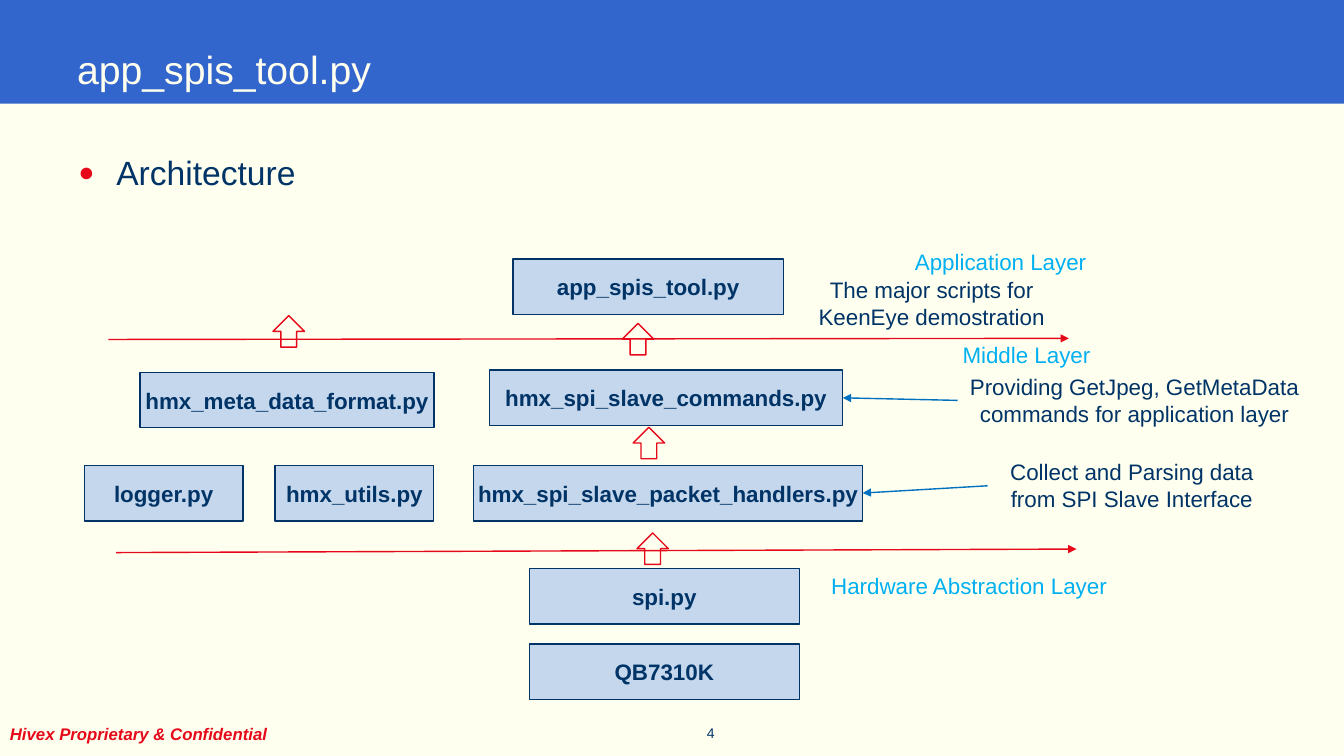
from lxml import etree
from pptx import Presentation
from pptx.dml.color import RGBColor
from pptx.enum import shapes, text
from pptx.oxml import ns
from pptx.util import Pt

NAVY = RGBColor(0x00, 0x33, 0x66)
BANNER_BLUE = RGBColor(0x33, 0x66, 0xCC)
BOX_BLUE = RGBColor(0xC4, 0xD7, 0xEC)
LAYER_BLUE = RGBColor(0x00, 0xB0, 0xF0)
POINTER_BLUE = RGBColor(0x00, 0x70, 0xC0)
RED = RGBColor(0xE5, 0x09, 0x19)
IVORY = RGBColor(0xFF, 0xFF, 0xF0)

BOX_HEIGHT = 39.6
ARROW_SIZE = 22.5
CENTER = text.PP_ALIGN.CENTER
MIDDLE = text.MSO_ANCHOR.MIDDLE


class ArchitectureSlide:
    font_name = "Arial"

    def __init__(self, slide):
        self.slide = slide
        slide.background.fill.solid()
        slide.background.fill.fore_color.rgb = IVORY

    def set_text(self, shape, wording, size, color, align=None, anchor=None,
                 bold=False, italic=False, wrap=True):
        frame = shape.text_frame
        frame.text = wording
        frame.word_wrap = wrap
        frame.vertical_anchor = anchor or text.MSO_ANCHOR.TOP
        paragraph = frame.paragraphs[0]
        paragraph.alignment = align or text.PP_ALIGN.LEFT
        font = paragraph.runs[0].font
        font.name, font.size = self.font_name, Pt(size)
        font.bold, font.italic = bold, italic
        font.color.rgb = color
        return paragraph

    def label(self, wording, left, top, width, height, size=16, color=NAVY, **style):
        box = self.slide.shapes.add_textbox(Pt(left), Pt(top), Pt(width), Pt(height))
        return self.set_text(box, wording, size, color, **style)

    def bullet(self, wording, left, top, width, height):
        paragraph = self.label(wording, left, top, width, height, size=24)
        properties = paragraph._p.get_or_add_pPr()
        properties.set("marL", str(Pt(27)))
        properties.set("indent", str(Pt(-27)))
        color = etree.SubElement(properties, ns.qn("a:buClr"))
        etree.SubElement(color, ns.qn("a:srgbClr"), val=str(RED))
        etree.SubElement(properties, ns.qn("a:buSzPct"), val="80000")
        etree.SubElement(properties, ns.qn("a:buFont"), typeface=self.font_name)
        etree.SubElement(properties, ns.qn("a:buChar"), char="●")

    def shape(self, kind, left, top, width, height, fill=None, line=None):
        shape = self.slide.shapes.add_shape(kind, Pt(left), Pt(top), Pt(width), Pt(height))
        shape.shadow.inherit = False
        if fill is None:
            shape.fill.background()
        else:
            shape.fill.solid()
            shape.fill.fore_color.rgb = fill
        if line is None:
            shape.line.fill.background()
        else:
            shape.line.color.rgb = line
            shape.line.width = Pt(1)
        return shape

    def module(self, name, left, top, width):
        box = self.shape(shapes.MSO_SHAPE.RECTANGLE, left, top, width, BOX_HEIGHT,
                         BOX_BLUE, NAVY)
        self.set_text(box, name, 16, NAVY, CENTER, MIDDLE, bold=True, wrap=False)

    def up_arrow(self, left, top):
        self.shape(shapes.MSO_SHAPE.UP_ARROW, left, top, ARROW_SIZE, ARROW_SIZE, line=RED)

    def arrow_line(self, start_x, start_y, end_x, end_y, color):
        connector = self.slide.shapes.add_connector(
            shapes.MSO_CONNECTOR.STRAIGHT, Pt(start_x), Pt(start_y), Pt(end_x), Pt(end_y))
        connector.line.color.rgb = color
        connector.line.width = Pt(1)
        properties = connector._element.spPr
        outline = properties.find(ns.qn("a:ln"))
        etree.SubElement(outline, ns.qn("a:tailEnd"), type="triangle")
        etree.SubElement(properties, ns.qn("a:effectLst"))


def main():
    presentation = Presentation()
    presentation.slide_width, presentation.slide_height = Pt(960), Pt(540)
    page = ArchitectureSlide(presentation.slides.add_slide(presentation.slide_layouts[6]))

    page.shape(shapes.MSO_SHAPE.RECTANGLE, 0, 0, 960, 74, BANNER_BLUE)
    page.label("Hivex Proprietary & Confidential", 0, 513.5, 204.5, 21.5, size=12,
               color=RED, bold=True, italic=True, wrap=False)
    page.label("app_spis_tool.py", 48, 4, 864, 90, size=28, color=IVORY, anchor=MIDDLE)
    page.bullet("Architecture", 49, 105, 869, 394.5)
    page.label("4", 317.5, 514, 200, 33, size=10, align=text.PP_ALIGN.RIGHT)

    for name, left, top, width in (
        ("app_spis_tool.py", 366.5, 185, 193),
        ("hmx_meta_data_format.py", 100, 266, 210),
        ("hmx_spi_slave_commands.py", 349.5, 264.3, 252.5),
        ("logger.py", 60.3, 332.5, 113.3),
        ("hmx_utils.py", 196.5, 332.7, 113.3),
        ("hmx_spi_slave_packet_handlers.py", 338.2, 332.5, 278),
        ("spi.py", 378, 406.2, 193),
        ("QB7310K", 378, 460, 193),
    ):
        page.module(name, left, top, width)

    for start_x, start_y, end_x, end_y, color in (
        (77.5, 242.5, 763.5, 241.7, RED),
        (83, 394.7, 769, 392.2, RED),
        (684, 286, 602, 284.2, POINTER_BLUE),
        (705.5, 347, 616.2, 352.2, POINTER_BLUE),
    ):
        page.arrow_line(start_x, start_y, end_x, end_y, color)

    for left, top in ((195, 225.5), (444.5, 231), (452.3, 305.2), (455, 380.7)):
        page.up_arrow(left, top)

    for layer, left, top, width in (
        ("Application Layer", 630.5, 173.7, 168.5),
        ("Middle Layer", 627, 240.3, 212.4),
        ("Hardware Abstraction Layer", 586, 405.5, 212.4),
    ):
        page.label(layer, left, top, width, 26.7, color=LAYER_BLUE, align=CENTER)

    for note, left, top, width in (
        ("The major scripts for KeenEye demostration", 563, 193.5, 205),
        ("Providing GetJpeg, GetMetaData commands for application layer", 684, 263, 252.7),
        ("Collect and Parsing data from SPI Slave Interface", 705.5, 324, 206),
    ):
        page.label(note, left, top, width, 46, align=CENTER)

    presentation.save("out.pptx")


if __name__ == "__main__":
    main()
